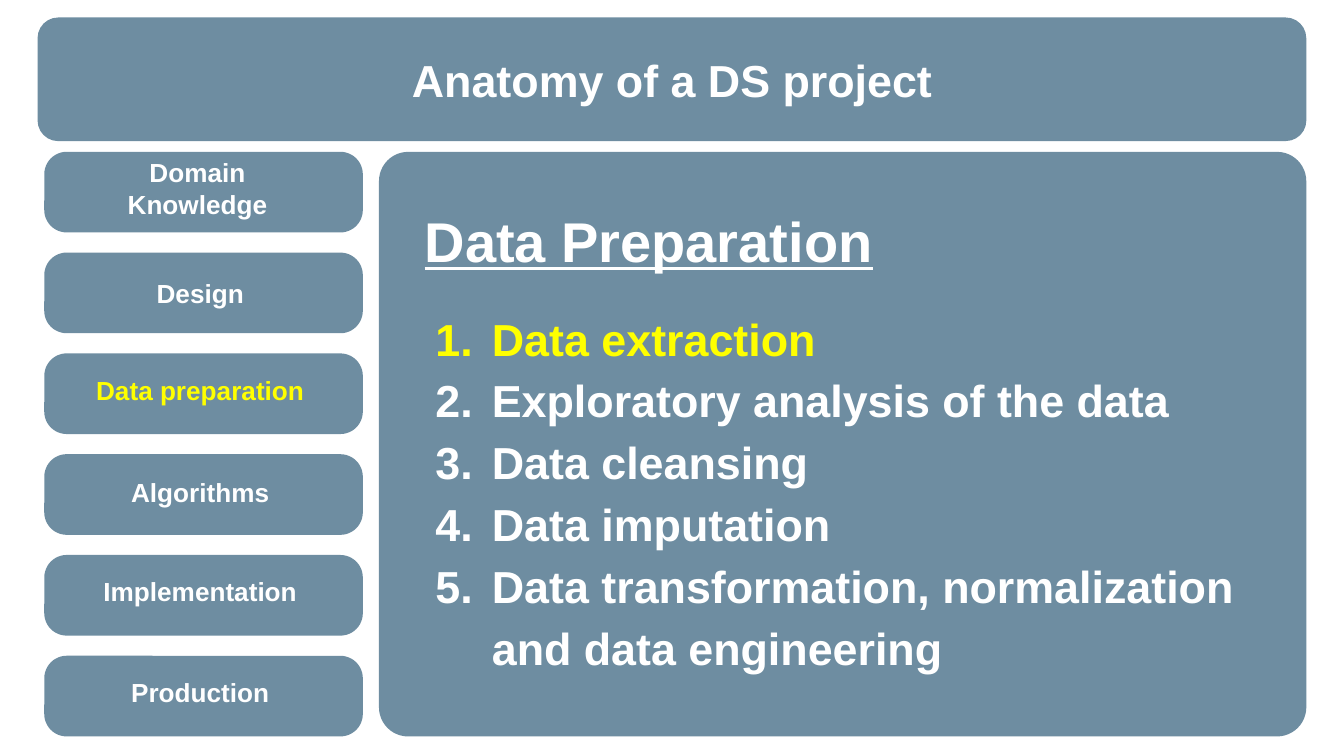
from lxml.etree import SubElement
from pptx import Presentation
from pptx.dml.color import RGBColor
from pptx.enum.shapes import MSO_SHAPE as Shape
from pptx.enum.text import MSO_ANCHOR as Anchor, MSO_AUTO_SIZE as Fit, PP_ALIGN as Align
from pptx.oxml.ns import qn
from pptx.util import Inches, Pt

TITLE = "Anatomy of a DS project"
HEAD = "Data Preparation"
ITEMS = [
    "Data extraction",
    "Exploratory analysis of the data",
    "Data cleansing",
    "Data imputation",
    "Data transformation, normalization and data engineering",
]
STAGES = [
    {"words": "Domain Knowledge", "left": 0.31, "shift": 0.01, "size": (2.32, 0.52)},
    {"words": "Design", "left": 0.3, "shift": 0, "size": (2.38, 0.6)},
    {"words": "Data preparation", "left": 0.3, "shift": -0.03, "size": (2.38, 0.6)},
    {"words": "Algorithms", "left": 0.3, "shift": 0.02, "size": (2.38, 0.52)},
    {"words": "Implementation", "left": 0.3, "shift": 0.01, "size": (2.38, 0.52)},
    {"words": "Production", "left": 0.3, "shift": 0.01, "size": (2.38, 0.52)},
]
ACTIVE = {"Data preparation", "Data extraction"}
TOP, STEP = 1.13, 0.75
BLUE = RGBColor(0x21, 0x51, 0x70)
WHITE = RGBColor(0xFF, 0xFF, 0xFF)
YELLOW = RGBColor(0xFF, 0xFF, 0x00)


def place(shape, left, top, width, height):
    shape.left, shape.top = Inches(left), Inches(top)
    shape.width, shape.height = Inches(width), Inches(height)


def add(slide, kind, box, adj):
    shape = slide.shapes.add_shape(kind, *map(Inches, box))
    shape.adjustments[0] = adj
    shape.shadow.inherit = False
    shape.line.fill.background()
    return shape


def card(slide, box, adj):
    shape = add(slide, Shape.ROUNDED_RECTANGLE, box, adj)
    shape.fill.solid()
    shape.fill.fore_color.rgb = BLUE
    tint = shape.element.spPr.find(".//" + qn("a:srgbClr"))
    SubElement(tint, qn("a:alpha")).set("val", "65000")


def frame(shape, anchor):
    text = shape.text_frame
    text.word_wrap, text.auto_size = True, Fit.NONE
    text.vertical_anchor = anchor
    text.margin_left = text.margin_right = Inches(0.1)
    text.margin_top = text.margin_bottom = Inches(0.1)
    return text


def write(para, words, size, align=Align.CENTER):
    para.text = words
    para.alignment = align
    font = para.runs[0].font
    font.name, font.size, font.bold = "Arial", Pt(size), True
    font.color.rgb = YELLOW if words in ACTIVE else WHITE
    return font


def indent(para, left, hang):
    props = para._p.get_or_add_pPr()
    props.set("marL", str(Inches(left)))
    props.set("indent", str(Inches(hang)))
    return props


def number(para, color):
    props = indent(para, 0.5, -0.42)
    tint = SubElement(props, qn("a:buClr"))
    SubElement(tint, qn("a:srgbClr")).set("val", str(color))
    SubElement(props, qn("a:buFont")).set("typeface", "Arial")
    SubElement(props, qn("a:buAutoNum")).set("type", "arabicPeriod")


def fill_body(body):
    text = frame(body, Anchor.TOP)
    for row, words in enumerate([HEAD] + ITEMS):
        para = text.add_paragraph() if row else text.paragraphs[0]
        font = write(para, words, 24 if row else 30, Align.LEFT)
        para.line_spacing = 1.15
        para.space_before = Pt(16 if row == 1 else 0)
        if row:
            number(para, font.color.rgb)
        else:
            font.underline = True
            SubElement(indent(para, 0, 0), qn("a:buNone"))


def main():
    """Build the project anatomy slide."""
    deck = Presentation()
    deck.slide_width = Inches(10)
    deck.slide_height = deck.slide_width * 9 // 16
    slide = deck.slides.add_slide(deck.slide_layouts[1])
    title, body = slide.shapes.title, slide.placeholders[1]

    card(slide, (0.28, 0.13, 9.44, 0.92), 0.167)
    card(slide, (2.82, TOP, 6.9, 4.35), 0.05)
    for row in range(len(STAGES)):
        card(slide, (0.33, TOP + row * STEP, 2.37, 0.6), 0.278)

    for shape in (body, title):
        slide.shapes.element.append(shape.element)
    place(body, 3.06, 1.36, 6.63, 3.92)
    fill_body(body)
    place(title, 0.33, 0.29, 9.34, 0.6)
    write(frame(title, Anchor.MIDDLE).paragraphs[0], TITLE, 24)

    for row, stage in enumerate(STAGES):
        box = (stage["left"], TOP + row * STEP + stage["shift"], *stage["size"])
        label = add(slide, Shape.PARALLELOGRAM, box, 0.25)
        label.fill.background()
        write(frame(label, Anchor.MIDDLE).paragraphs[0], stage["words"], 14)

    deck.save("out.pptx")


if __name__ == "__main__":
    main()
